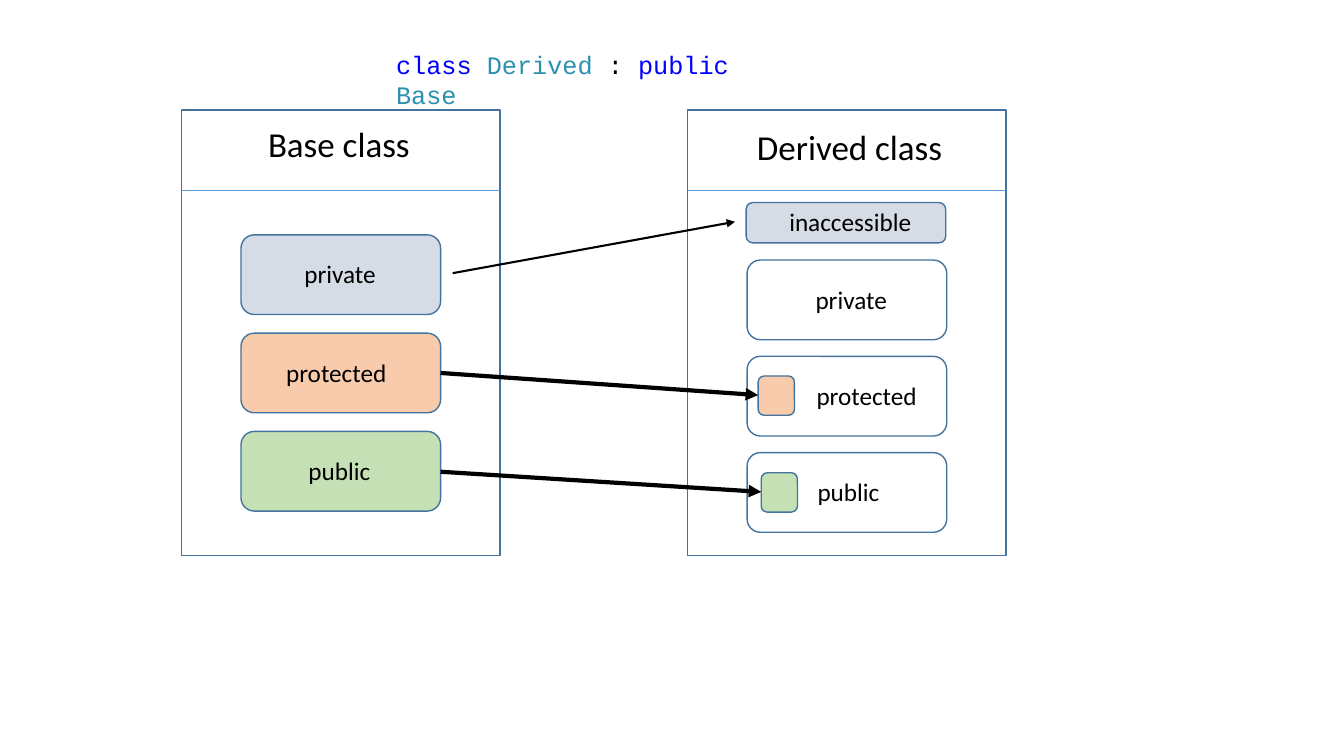
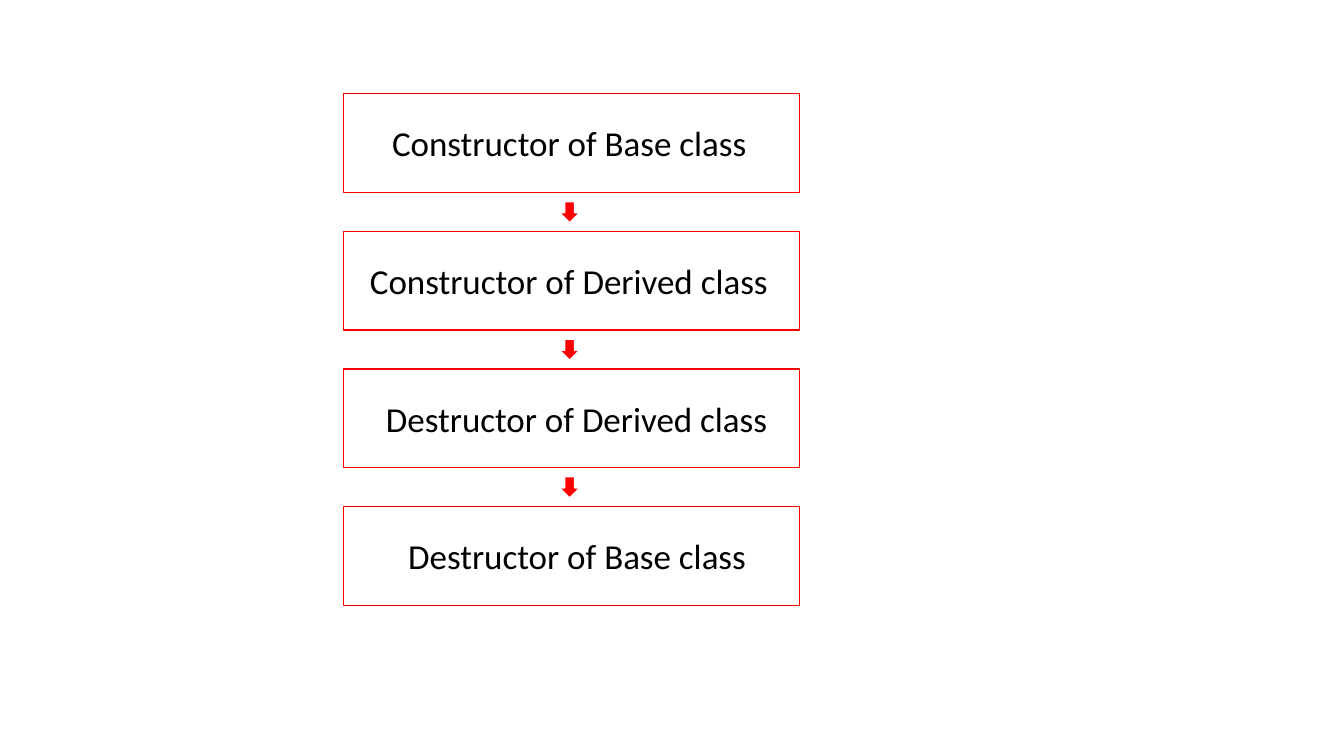
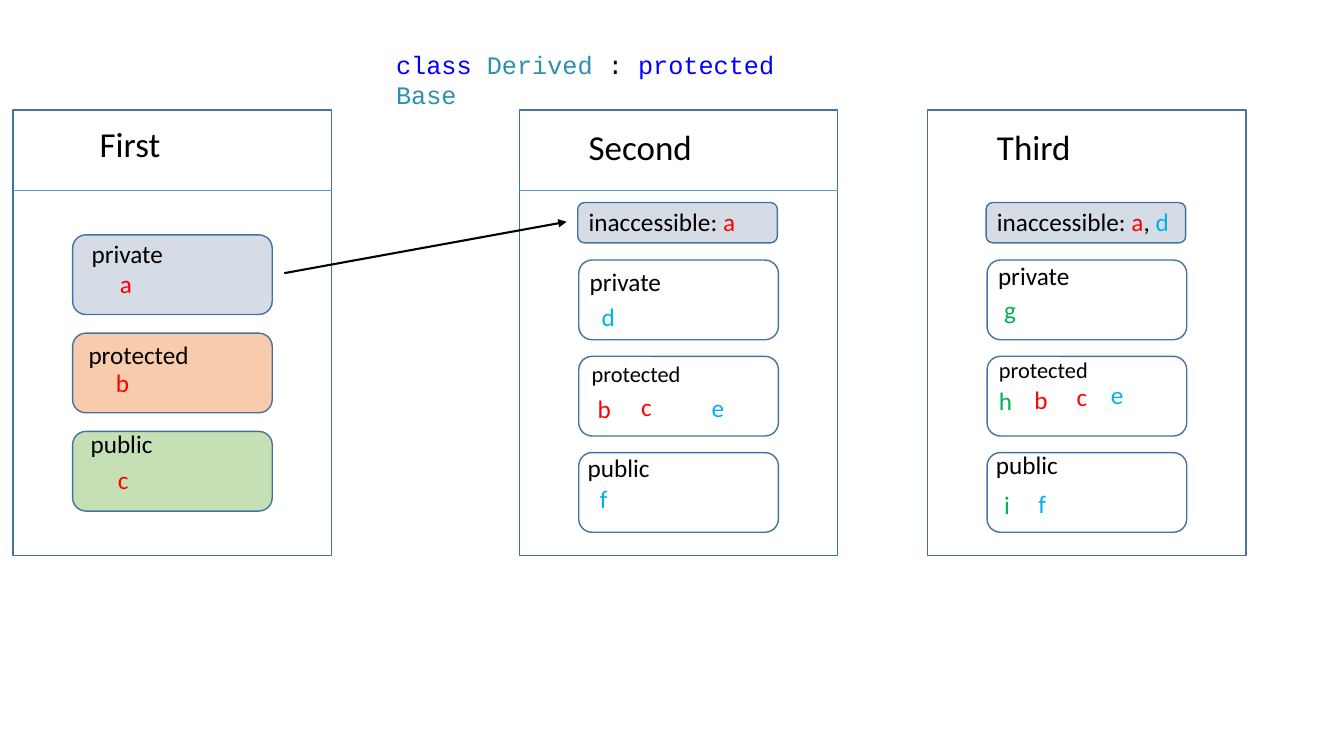
"""Draw how class members and calls pass from base to derived classes."""
import pptx
import pptx.dml.color
import pptx.enum.shapes
import pptx.oxml.ns
import pptx.util
import lxml.etree

Inches = pptx.util.Inches
Pt = pptx.util.Pt
RGB = pptx.dml.color.RGBColor
SHAPE = pptx.enum.shapes.MSO_SHAPE
LINE = pptx.enum.shapes.MSO_CONNECTOR.STRAIGHT

BLACK = RGB(0, 0, 0)
WHITE = RGB(0xFF, 0xFF, 0xFF)
EDGE = RGB(0x43, 0x73, 0x9E)
RULE = RGB(0x5B, 0x9B, 0xD5)
GRAY = RGB(0xD6, 0xDC, 0xE5)
PEACH = RGB(0xF8, 0xCB, 0xAD)
MINT = RGB(0xC5, 0xE0, 0xB4)
RED = RGB(0xFF, 0, 0)
BLUE = RGB(0, 0xB0, 0xF0)
GREEN = RGB(0, 0xB0, 0x50)
KEY = RGB(0, 0, 0xFF)
TYPE = RGB(0x2B, 0x91, 0xAF)

HEIGHT = {16: 0.37, 18: 0.4, 25: 0.52}
FRAME = {"word_wrap": True}
BODY = {"name": "Calibri"}
CODE = {"name": "Courier New"}
WIDE, TALL = 1.98, 0.79
INSET = 0.59
FILLS = (GRAY, PEACH, MINT)
BASE = (("private", 0.92), ("protected", 1.27), ("public", 0.82))
HUES = {"a": RED, "b": RED, "c": RED, "d": BLUE, "e": BLUE, "f": BLUE,
        "g": GREEN, "h": GREEN, "i": GREEN}
WIDTHS = {"a": 0.32, "c": 0.31, "f": 0.28, "g": 0.32, "i": 0.26}


def apply(item, form):
    for key, value in form.items():
        setattr(item, key, value)


def label(slide, x, y, wide, runs, size=18, face=BODY):
    if isinstance(runs, str):
        runs = [(runs, BLACK)]
    area = slide.shapes.add_textbox(Inches(x), Inches(y), Inches(wide),
                                    Inches(HEIGHT[size]))
    apply(area.text_frame, FRAME)
    for text, hue in runs:
        run = area.text_frame.paragraphs[0].add_run()
        run.text = text
        apply(run.font, {**face, "size": Pt(size)})
        run.font.color.rgb = hue


def box(slide, x, y, wide, tall, fill=None, edge=EDGE, kind=SHAPE.ROUNDED_RECTANGLE):
    shape = slide.shapes.add_shape(kind, Inches(x), Inches(y),
                                   Inches(wide), Inches(tall))
    shape.shadow.inherit = False
    if fill is None:
        shape.fill.background()
    else:
        shape.fill.solid()
        shape.fill.fore_color.rgb = fill
    shape.line.color.rgb = edge
    shape.line.width = Pt(1)


def line(slide, start, end, hue=BLACK, width=1.5, head=True):
    link = slide.shapes.add_connector(LINE, *map(Inches, start + end))
    link.line.color.rgb = hue
    link.line.width = Pt(width)
    name = pptx.oxml.ns.qn
    if head:
        tip = lxml.etree.SubElement(link.line._get_or_add_ln(), name("a:tailEnd"))
        tip.set("type", "triangle")
    lxml.etree.SubElement(link._element.spPr, name("a:effectLst"))


def panel(slide, left, ruled=True):
    box(slide, left, 1.09, 3.16, 4.42, kind=SHAPE.RECTANGLE)
    if ruled:
        line(slide, (left, 1.89), (left + 3.16, 1.89), RULE, 0.5, False)


def parent(slide, left, title, wide, spots):
    panel(slide, left)
    label(slide, left + 0.76, 1.17, wide, title, 25)
    for row, (fill, (text, span), (x, y)) in enumerate(zip(FILLS, BASE, spots)):
        box(slide, left + INSET, 2.33 + 0.975 * row, WIDE, TALL, fill)
        label(slide, left + x, y, span, text)


def child(slide, left, title, wide, top, names, ruled=True):
    panel(slide, left, ruled)
    label(slide, left + INSET, 1.2, wide, title, 25)
    box(slide, left + 0.58, 2.01, WIDE, 0.4, GRAY)
    x, span, runs = top
    label(slide, left + x, 2, span, runs)
    for row, (text, x, y, span, size) in enumerate(names):
        box(slide, left + INSET, 2.58 + 0.955 * row, WIDE, TALL)
        label(slide, left + x, y, span, text, size)


def hide(slide, left):
    line(slide, (left + 2.69, 2.71), (left + 5.49, 2.2))


def code(slide, access, wide):
    runs = [("class ", KEY), ("Derived", TYPE), (" : ", BLACK),
            (access + " ", KEY), ("Base", TYPE)]
    label(slide, 3.83, 0.44, wide, runs, face=CODE)


def public(slide):
    parent(slide, 1.8, "Base class", 1.62, ((1.12, 2.51), (0.94, 3.5), (1.16, 4.47)))
    child(slide, 6.82, "Derived class", 2.06, (0.91, 1.43, "inaccessible"),
          (("private", 1.17, 2.77, 0.98, 18),
           ("protected", 1.18, 3.72, 1.21, 18),
           ("public", 1.19, 4.68, 0.82, 18)))
    hide(slide, 1.8)
    for x, y, start, end, fill in ((7.52, 3.73, 3.7, 3.92, PEACH),
                                   (7.55, 4.69, 4.68, 4.88, MINT)):
        box(slide, x, y, 0.36, 0.39, fill)
        line(slide, (4.37, start), (x, end), width=3)
    code(slide, "public", 3.94)


def order(slide):
    steps = (("Constructor of Base class", 3.79, 3.76),
             ("Constructor of Derived class", 3.57, 4.19),
             ("Destructor of Derived class", 3.73, 4.03),
             ("Destructor of Base class", 3.95, 3.59))
    for row, (text, x, wide) in enumerate(steps):
        y = 0.93 + 1.365 * row
        box(slide, 3.41, y, 4.52, 0.98, edge=RED, kind=SHAPE.RECTANGLE)
        label(slide, x, y + 0.23, wide, text, 25)
        if row < len(steps) - 1:
            box(slide, 5.55, y + 1.07, 0.2, 0.21, RED, WHITE, SHAPE.DOWN_ARROW)


def guarded(slide):
    parent(slide, 0.13, "First", 0.81, ((0.68, 2.32), (0.65, 3.32), (0.67, 4.2)))
    lead = ("inaccessible: ", BLACK)
    child(slide, 5.15, "Second", 1.24, (INSET, 1.67, [lead, ("a", RED)]),
          (("private", 0.6, 2.59, 0.98, 18),
           ("protected", 0.62, 3.52, 1.1, 16),
           ("public", 0.58, 4.44, 0.82, 18)))
    hide(slide, 0.13)
    code(slide, "protected", 4.36)
    child(slide, 9.2, "Third", 0.94,
          (INSET, 1.93, [lead, ("a", RED), (", ", BLACK), ("d", BLUE)]),
          (("private", 0.6, 2.53, 0.98, 18),
           ("protected", 0.61, 3.48, 1.1, 16),
           ("public", 0.58, 4.41, 0.82, 18)), False)
    for text, x, y in (("a", 1.09, 2.61), ("b", 1.05, 3.59), ("c", 1.07, 4.56),
                       ("d", 5.87, 2.94), ("e", 6.96, 3.84), ("f", 5.85, 4.75),
                       ("b", 5.83, 3.85), ("c", 6.26, 3.83), ("g", 9.86, 2.87),
                       ("h", 9.81, 3.77), ("i", 9.86, 4.81), ("b", 10.16, 3.76),
                       ("c", 10.58, 3.73), ("e", 10.92, 3.71), ("f", 10.2, 4.8)):
        label(slide, x, y, WIDTHS.get(text, 0.34), [(text, HUES[text])])


def main():
    deck = pptx.Presentation()
    apply(deck, {"slide_width": Inches(13.33), "slide_height": Inches(7.5)})
    for draw in (public, order, guarded):
        draw(deck.slides.add_slide(deck.slide_layouts[6]))
    deck.save("out.pptx")


if __name__ == "__main__":
    main()
